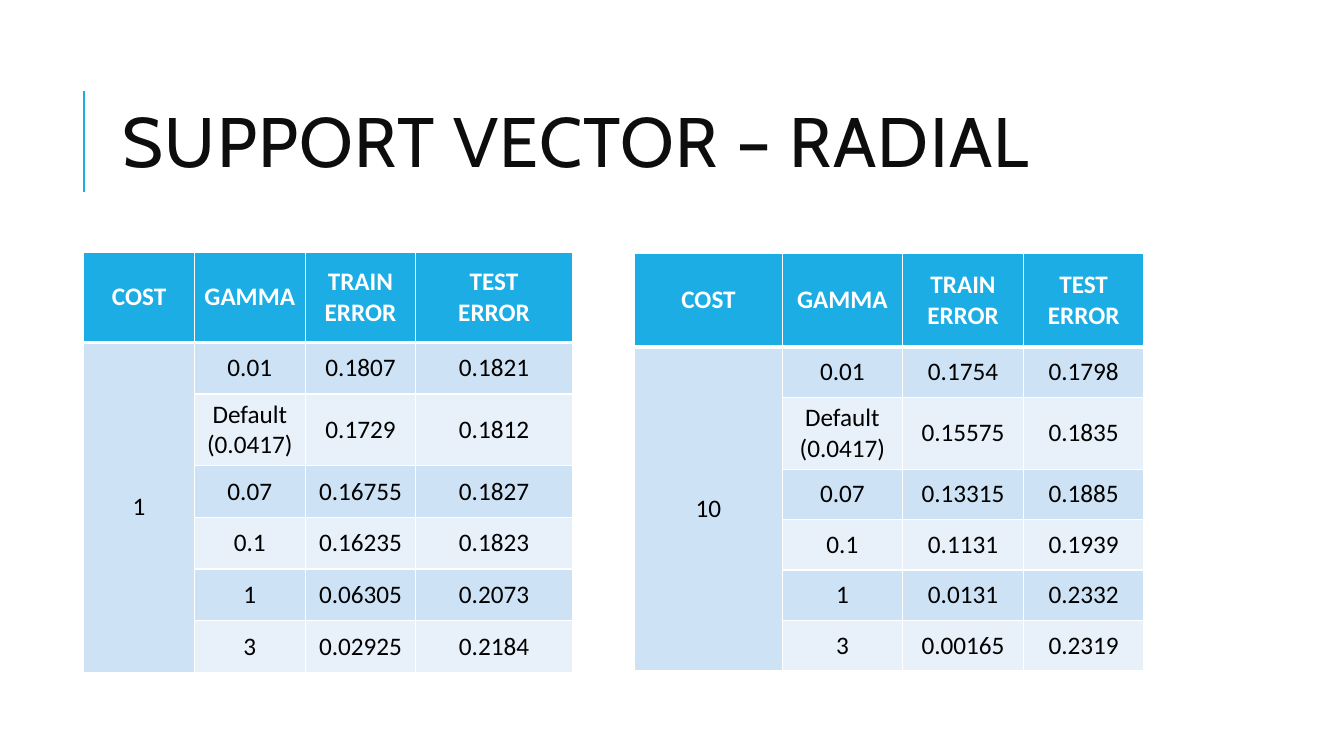
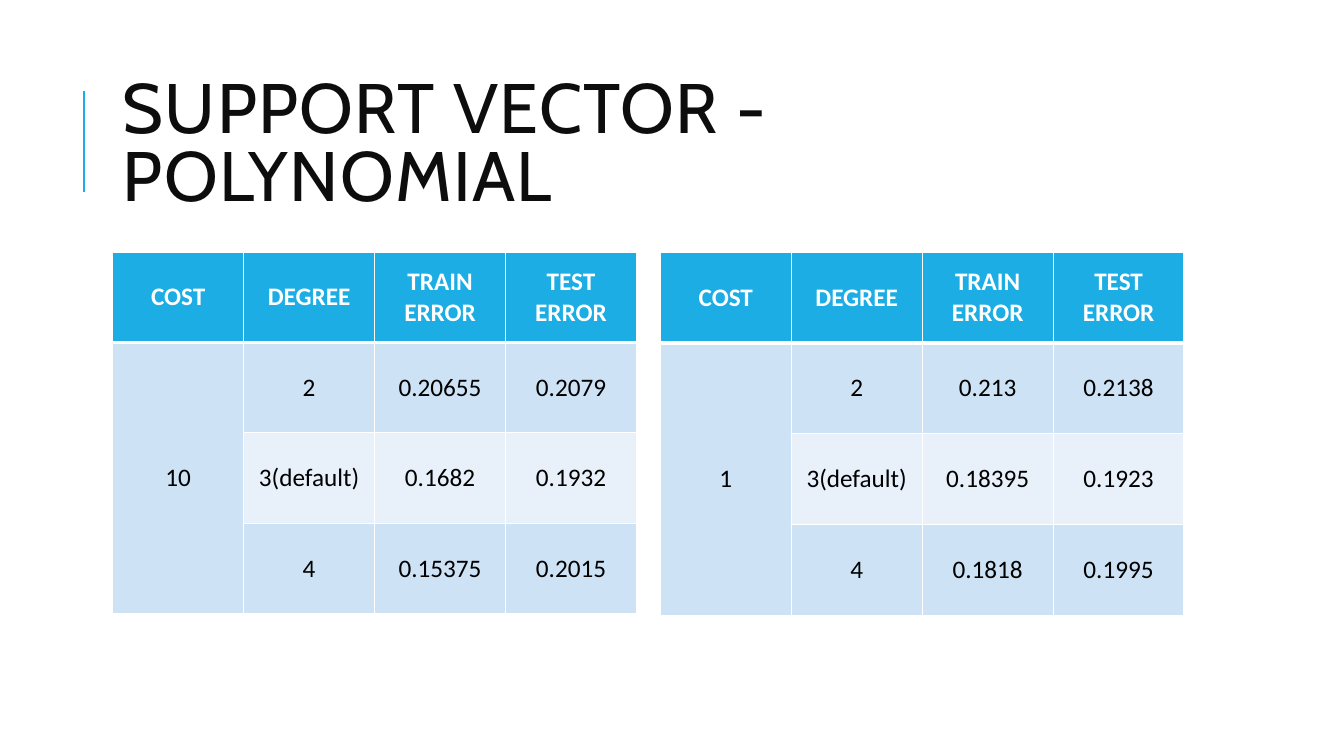
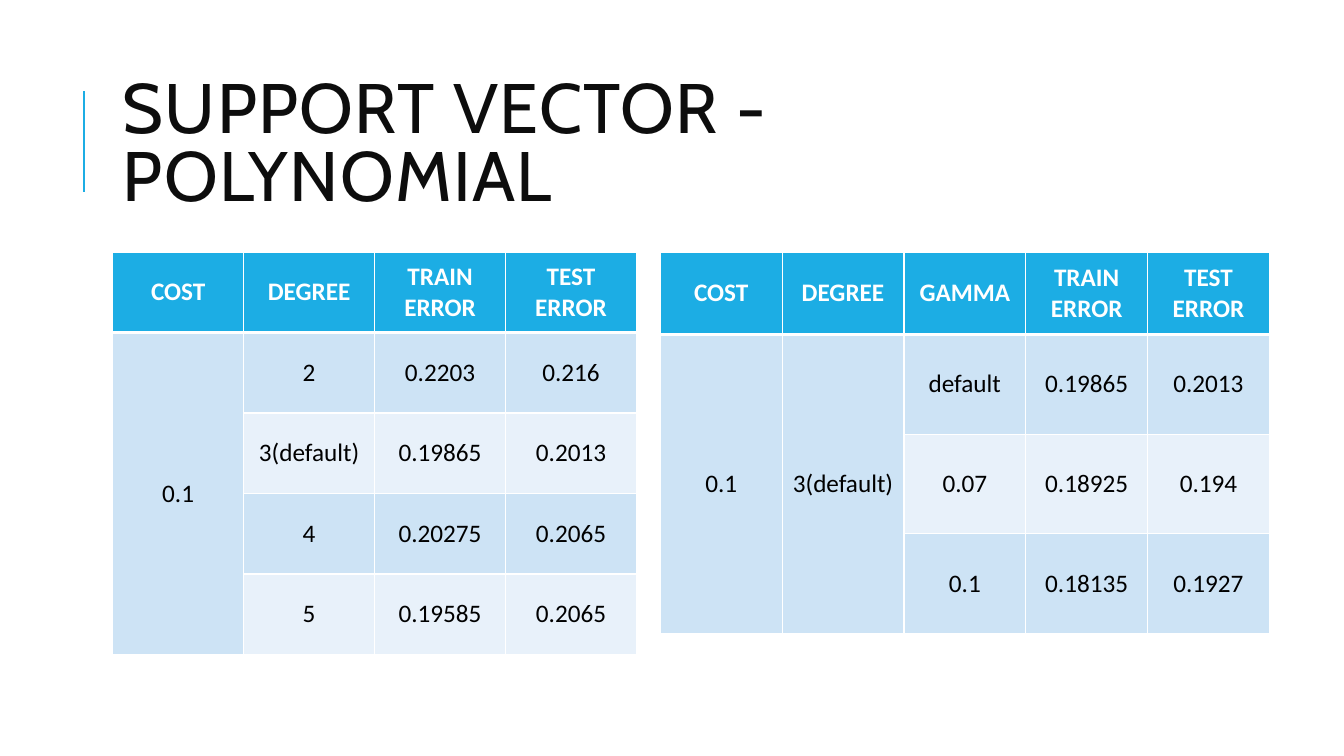
from lxml.etree import SubElement
from pptx import Presentation
from pptx.dml.color import RGBColor
from pptx.enum.shapes import MSO_CONNECTOR
from pptx.enum.text import MSO_ANCHOR, MSO_AUTO_SIZE, PP_ALIGN
from pptx.oxml.ns import qn
from pptx.util import Cm, Pt

HUES = {
    "accent": "1CADE4",
    "title": "0D0D0D",
    "text": "000000",
    "white": "FFFFFF",
    "dark": "CDE3F5",
    "light": "E8F1FA",
}
TOP = 6.35
TRAIN = "TRAIN\nERROR"
TEST = "TEST\nERROR"
RADIAL = ("COST", "GAMMA", TRAIN, TEST)
POLY = ("COST", "DEGREE", TRAIN, TEST)
GAMMAS = ("0.01", "Default\n(0.0417)", "0.07", "0.1", "1", "3")
POWERS = ("2", "3(default)", "4", "5")


def hue(name):
    return RGBColor.from_string(HUES[name])


def style(par, face, size, name, bold=False):
    font = par.font
    font.name, font.size, font.bold = face, Pt(size), bold
    font.color.rgb = hue(name)


def add_bar(slide, layout):
    bar = slide.shapes.add_connector(
        MSO_CONNECTOR.STRAIGHT, Cm(2.11), Cm(4.83), Cm(2.11), Cm(2.29))
    bar.line.color.rgb = hue("accent")
    bar.line.width = Pt(1.5)
    SubElement(bar._element.spPr, qn("a:effectLst"))
    layout.shapes._spTree.append(bar._element)


def add_title(slide, text):
    title = slide.shapes.title
    title.left, title.top = Cm(2.84), Cm(1.63)
    title.width, title.height = Cm(27), Cm(4.17)
    frame = title.text_frame
    frame.text = text
    frame.word_wrap = True
    frame.auto_size = MSO_AUTO_SIZE.NONE
    frame.vertical_anchor = MSO_ANCHOR.MIDDLE
    par = frame.paragraphs[0]
    par.alignment = PP_ALIGN.LEFT
    par.line_spacing = 0.8
    style(par, "Cabin", 50, "title")
    par.font._rPr.set("spc", "100")


def add_edges(cell, top, base):
    props = cell._tc.get_or_add_tcPr()
    for side, width in (("L", 1), ("R", 1), ("T", top), ("B", base)):
        edge = SubElement(props, qn(f"a:ln{side}"), w=str(Pt(width)))
        fill = SubElement(edge, qn("a:solidFill"))
        SubElement(fill, qn("a:srgbClr"), val=HUES["white"])


def fill_cell(cell, text, row, pad):
    head = row == 0
    add_edges(cell, 3 if row == 1 else 1, 3 if head else 1)
    cell.fill.solid()
    cell.fill.fore_color.rgb = hue(
        "accent" if head else "dark" if row % 2 else "light")
    cell.vertical_anchor = MSO_ANCHOR.MIDDLE
    cell.margin_left = cell.margin_right = Cm(pad)
    cell.margin_top = cell.margin_bottom = Cm(0.13)
    cell.text = text
    for par in cell.text_frame.paragraphs:
        par.alignment = PP_ALIGN.CENTER
        style(par, "Calibri", 18, "white" if head else "text", head)


def add_grid(slide, left, top, wide, tall, names, lead, rows, pad=0.25):
    body = [(lead if i == 0 else ("",) * len(lead)) + tuple(row)
            for i, row in enumerate(rows)]
    lines = [names] + body
    highs = [tall[0]] + [tall[1]] * len(body)
    table = slide.shapes.add_table(
        len(lines), len(names), Cm(left), Cm(top),
        Cm(sum(wide)), Cm(sum(highs))).table
    table.first_row = table.horz_banding = False
    for col, width in zip(table.columns, wide):
        col.width = Cm(width)
    for row, height in zip(table.rows, highs):
        row.height = Cm(height)
    for r, line in enumerate(lines):
        for c, text in enumerate(line):
            fill_cell(table.cell(r, c), text, r, pad)
    for c in range(len(lead)):
        table.cell(1, c).merge(table.cell(len(body), c))


def add_radial(slide):
    add_title(slide, "SUPPORT VECTOR – RADIAL")
    train = ("0.1807", "0.1729", "0.16755", "0.16235", "0.06305", "0.02925")
    test = ("0.1821", "0.1812", "0.1827", "0.1823", "0.2073", "0.2184")
    names = ("COST", "GAMMA", "TRAIN ERROR", TEST)
    add_grid(slide, 2.11, TOP, [2.79] * 3 + [3.94], (2.28, 1.3),
             names, ("1",), zip(GAMMAS, train, test), 0.13)
    train = ("0.1754", "0.15575", "0.13315", "0.1131", "0.0131", "0.00165")
    test = ("0.1798", "0.1835", "0.1885", "0.1939", "0.2332", "0.2319")
    add_grid(slide, 16, TOP + 0.03, [3.71] + [3.04] * 3, (2.36, 1.27),
             RADIAL, ("10",), zip(GAMMAS, train, test))


def add_poly(slide, grids):
    add_title(slide, "SUPPORT VECTOR - POLYNOMIAL")
    for left, grid in zip((2.84, 16.64), grids):
        add_grid(slide, left, TOP, *grid)


def main():
    deck = Presentation()
    deck.slide_width, deck.slide_height = Cm(33.87), Cm(19.05)
    layout = deck.slide_layouts[5]
    first, second, third = [deck.slides.add_slide(layout) for _ in range(3)]
    add_bar(first, layout)
    add_radial(first)
    wide = [3.3] * 4
    add_poly(second, (
        (wide, (2.28, 2.28), POLY, ("10",), zip(
            POWERS, ("0.20655", "0.1682", "0.15375"),
            ("0.2079", "0.1932", "0.2015"))),
        (wide, (2.29, 2.29), POLY, ("1",), zip(
            POWERS, ("0.213", "0.18395", "0.1818"),
            ("0.2138", "0.1923", "0.1995"))),
    ))
    add_poly(third, (
        (wide, (2.03, 2.03), POLY, ("0.1",), zip(
            POWERS, ("0.2203", "0.19865", "0.20275", "0.19585"),
            ("0.216", "0.2013", "0.2065", "0.2065"))),
        ([3.07] * 5, (2.08, 2.51), ("COST", "DEGREE", "GAMMA", TRAIN, TEST),
         ("0.1", "3(default)"), zip(
            ("default", "0.07", "0.1"), ("0.19865", "0.18925", "0.18135"),
            ("0.2013", "0.194", "0.1927"))),
    ))
    deck.save("out.pptx")


if __name__ == "__main__":
    main()
